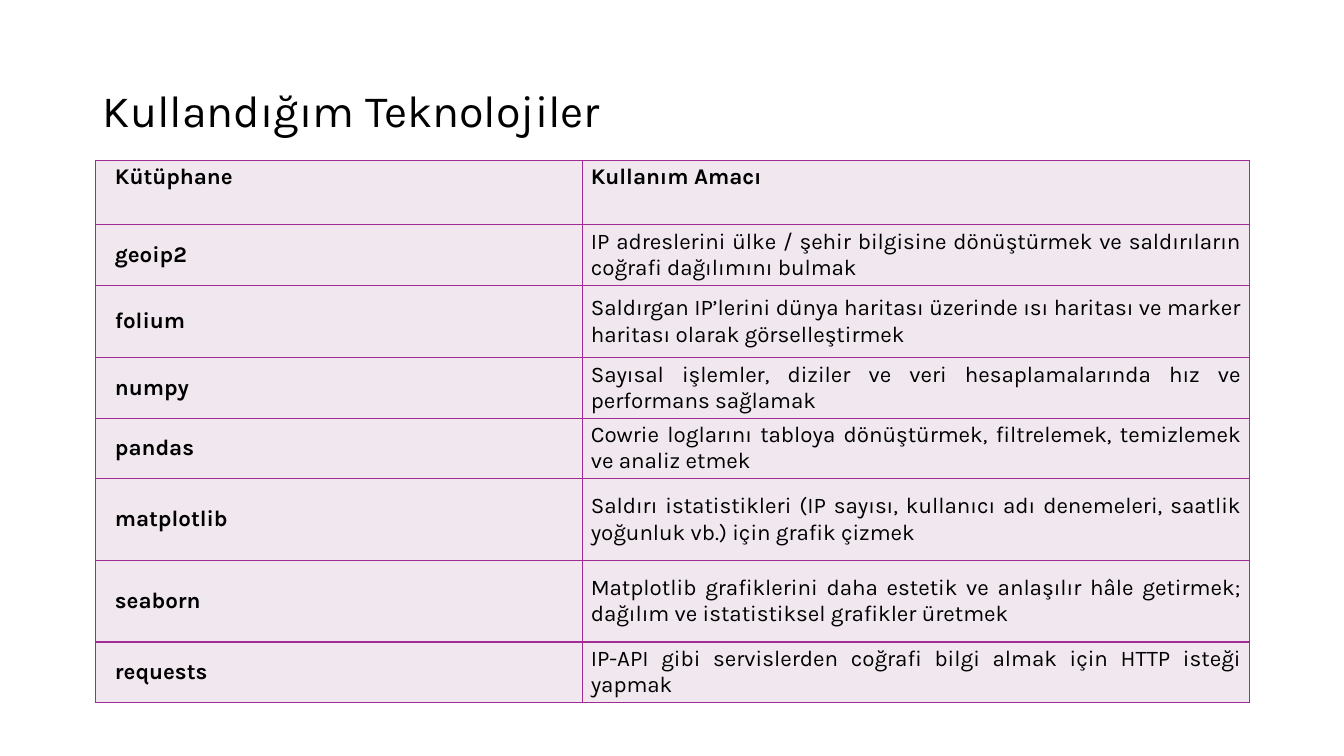
from dataclasses import dataclass

from lxml import etree
from pptx import Presentation
from pptx.dml.color import RGBColor
from pptx.enum.text import MSO_ANCHOR, PP_ALIGN
from pptx.oxml.ns import qn
from pptx.util import Inches, Pt

JUSTIFY, LEFT = PP_ALIGN.JUSTIFY, PP_ALIGN.LEFT
TOP, MIDDLE = MSO_ANCHOR.TOP, MSO_ANCHOR.MIDDLE


@dataclass(frozen=True)
class Theme:
    font: str = "Karla"
    text: str = "000000"
    fill: str = "F0E8EE"
    border: str = "A02B93"
    title_size: int = 32
    table_size: int = 16
    border_width: int = 1


HEADER = ("Kütüphane", "Kullanım Amacı")
# Library, purpose, row height
LIBRARIES = [
    ("geoip2", "IP adreslerini ülke / şehir bilgisine dönüştürmek ve saldırıların "
     "coğrafi dağılımını bulmak", 0.6),
    ("folium", "Saldırgan IP’lerini dünya haritası üzerinde ısı haritası ve marker "
     "haritası olarak görselleştirmek", 0.72),
    ("numpy", "Sayısal işlemler, diziler ve veri hesaplamalarında hız ve "
     "performans sağlamak", 0.6),
    ("pandas", "Cowrie loglarını tabloya dönüştürmek, filtrelemek, temizlemek "
     "ve analiz etmek", 0.6),
    ("matplotlib", "Saldırı istatistikleri (IP sayısı, kullanıcı adı denemeleri, saatlik "
     "yoğunluk vb.) için grafik çizmek", 0.81),
    ("seaborn", "Matplotlib grafiklerini daha estetik ve anlaşılır hâle getirmek; "
     "dağılım ve istatistiksel grafikler üretmek", 0.81),
    ("requests", "IP-API gibi servislerden coğrafi bilgi almak için HTTP isteği "
     "yapmak", 0.6),
]
HEADER_HEIGHT = 0.64
COLUMN_WIDTHS = (4.83, 6.61)
LEFT_MARGINS = (0.19, 0.08)


class SlideBuilder:
    def __init__(self, page, theme):
        self.page = page
        self.theme = theme

    def add_text(self, para, text, size, align, bold=False):
        para.alignment = align
        span = para.add_run()
        span.text = text
        span.font.name = self.theme.font
        span.font.size = Pt(size)
        span.font.bold = bold
        span.font.color.rgb = RGBColor.from_string(self.theme.text)

    def title(self, text, left, top, width, height):
        box = self.page.shapes.title
        box.left, box.top = Inches(left), Inches(top)
        box.width, box.height = Inches(width), Inches(height)
        frame = box.text_frame
        frame.word_wrap = True
        frame.vertical_anchor = MIDDLE
        para = frame.paragraphs[0]
        para.line_spacing = 0.9
        self.add_text(para, text, self.theme.title_size, LEFT)

    def cell_borders(self, cell):
        properties = cell._tc.get_or_add_tcPr()
        for index, side in enumerate(("a:lnL", "a:lnR", "a:lnT", "a:lnB")):
            line = etree.Element(qn(side), w=str(Pt(self.theme.border_width)))
            fill = etree.SubElement(line, qn("a:solidFill"))
            etree.SubElement(fill, qn("a:srgbClr"), val=self.theme.border)
            properties.insert(index, line)

    def cell(self, cell, text, left_margin, bold, anchor):
        cell.margin_left, cell.margin_right = Inches(left_margin), Inches(0.08)
        cell.margin_top = cell.margin_bottom = Inches(0.04)
        cell.vertical_anchor = anchor
        cell.fill.solid()
        cell.fill.fore_color.rgb = RGBColor.from_string(self.theme.fill)
        self.cell_borders(cell)
        para = cell.text_frame.paragraphs[0]
        para.space_after = Pt(3)
        self.add_text(para, text, self.theme.table_size, JUSTIFY, bold)

    def table(self, rows, heights, left, top):
        table = self.page.shapes.add_table(
            len(rows), len(COLUMN_WIDTHS), Inches(left), Inches(top),
            Inches(sum(COLUMN_WIDTHS)), Inches(sum(heights))).table
        table.horz_banding = False
        table.first_row = False
        for column, width in zip(table.columns, COLUMN_WIDTHS):
            column.width = Inches(width)
        for r, (texts, height) in enumerate(zip(rows, heights)):
            table.rows[r].height = Inches(height)
            for c, text in enumerate(texts):
                self.cell(table.cell(r, c), text, LEFT_MARGINS[c],
                          bold=r == 0 or c == 0, anchor=MIDDLE if r else TOP)


def main():
    deck = Presentation()
    deck.slide_width, deck.slide_height = Inches(13.33), Inches(7.5)
    title_only = deck.slide_layouts[5]
    builder = SlideBuilder(deck.slides.add_slide(title_only), Theme())

    # Title
    builder.title("Kullandığım Teknolojiler", 0.92, 0.4, 11.5, 1.45)

    # Table of libraries
    rows = [HEADER] + [(name, purpose) for name, purpose, _ in LIBRARIES]
    heights = [HEADER_HEIGHT] + [height for *_, height in LIBRARIES]
    builder.table(rows, heights, 0.95, 1.59)

    deck.save("out.pptx")


if __name__ == "__main__":
    main()
